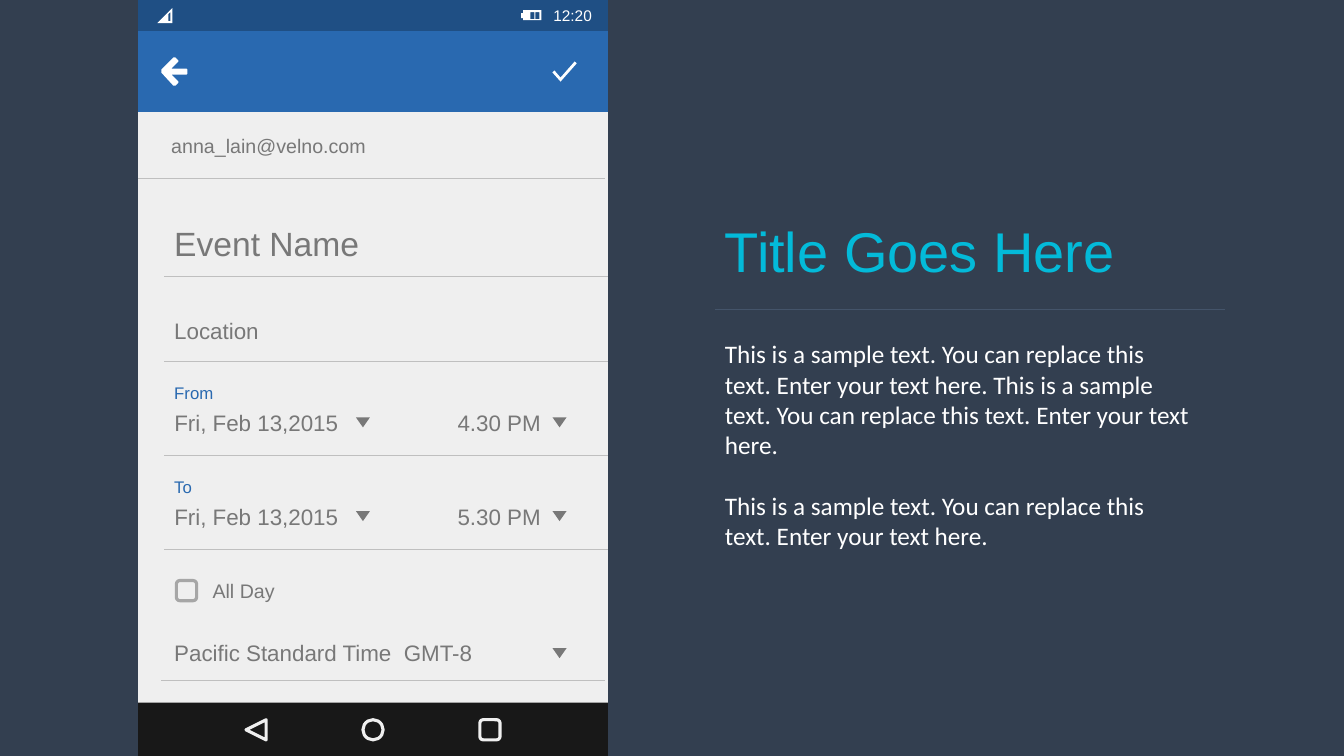
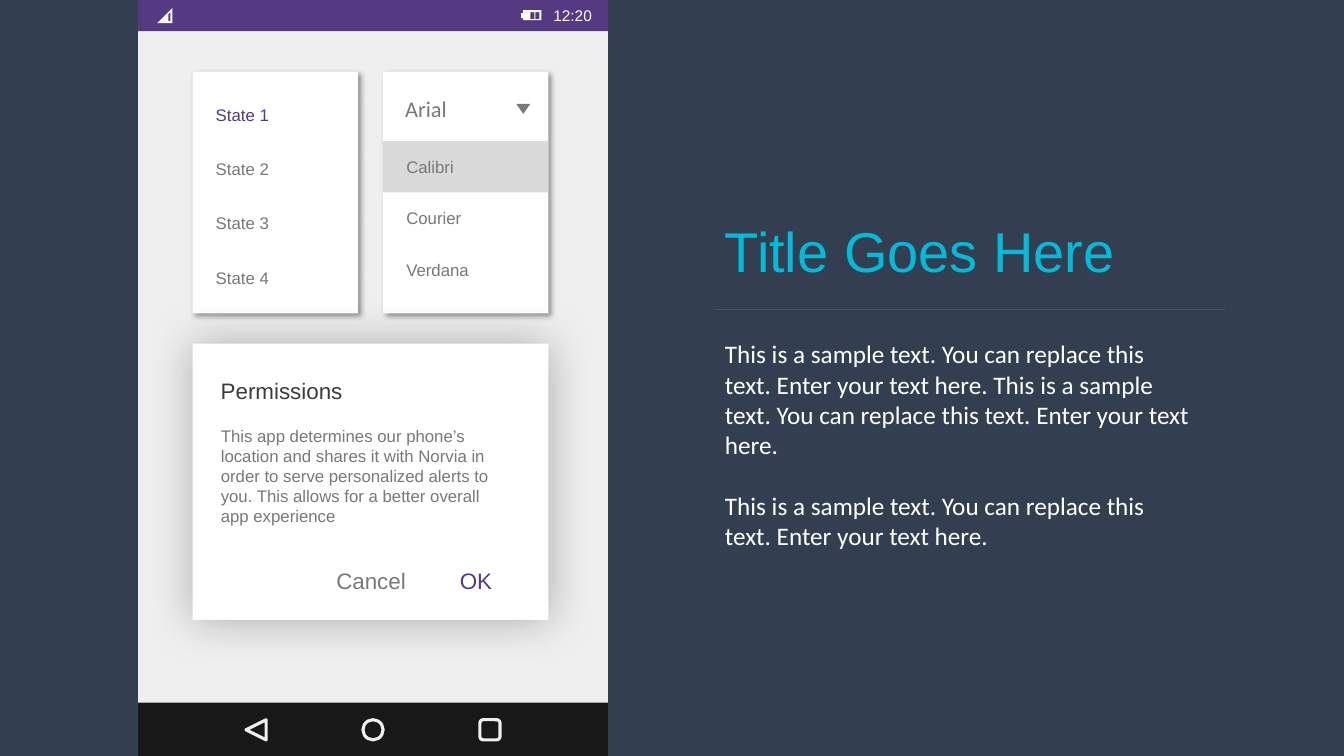
"""Build two slides that pair a phone screen with a title and sample text."""
import pptx
import pptx.util
import pptx.dml.color
import pptx.enum.shapes
import pptx.enum.text
import pptx.oxml
import pptx.oxml.ns

PX = 9144
COLOURS = {
    "backdrop": "333F50", "screen": "EFEFEF", "navigation": "181818",
    "blue": "2969B0", "dark blue": "1F4F84", "purple": "553982",
    "cyan": "03BAD9", "rule": "44546A", "divider": "BFBFBF",
    "grey": "787878", "checkbox": "A6A6A6", "selected": "D9D9D9",
    "heading": "3C3C3C", "white": "FFFFFF",
}
RGB = {name: pptx.dml.color.RGBColor.from_string(code) for name, code in COLOURS.items()}
SHAPE = pptx.enum.shapes.MSO_SHAPE
ALIGN = pptx.enum.text.PP_ALIGN
ANCHOR = pptx.enum.text.MSO_ANCHOR
FIT = pptx.enum.text.MSO_AUTO_SIZE
SCREEN_LEFT, SCREEN_WIDTH = 137, 466
SAMPLE = "This is a sample text. You can replace this text. Enter your text here."

BACK_ARROW = [[(160, 69), (172, 57), (174, 57), (177, 60), (177, 61), (170, 68),
               (185, 68), (186, 69), (186, 73), (185, 74), (170, 74), (177, 81),
               (177, 82), (174, 85), (172, 85), (160, 72)]]
CHECK_MARK = [[(570, 61), (572, 63), (556, 81), (548, 72), (550, 70), (556, 77)]]
SIGNAL = [[(169, 12), (167, 14), (167, 21), (169, 21)],
          [(171, 8), (171, 23), (156, 23)]]
BATTERY = [[(531, 19), (535, 19), (535, 12), (531, 12)],
           [(526, 19), (530, 19), (530, 12), (526, 12)],
           [(517, 18), (517, 13), (519, 13), (519, 10),
            (537, 10), (537, 20), (519, 20), (519, 18)]]


def add_block(slide, kind, box, fill=None, outline=None):
    block = slide.shapes.add_shape(kind, *[value * PX for value in box])
    block.shadow.inherit = False
    if fill:
        block.fill.solid()
        block.fill.fore_color.rgb = RGB[fill]
    else:
        block.fill.background()
    if outline:
        block.line.color.rgb = RGB[outline]
        block.line.width = pptx.util.Pt(2.25)
    else:
        block.line.fill.background()
    return block


def write(holder, text, size, colour, font="Arial", align=ALIGN.LEFT, anchor=ANCHOR.TOP, indent=10):
    frame = holder.text_frame
    frame_format = {"word_wrap": True, "auto_size": FIT.NONE, "vertical_anchor": anchor,
                    "margin_left": indent * PX, "margin_right": 10 * PX,
                    "margin_top": 5 * PX, "margin_bottom": 5 * PX}
    for name, value in frame_format.items():
        setattr(frame, name, value)
    frame.text = text
    for paragraph in frame.paragraphs:
        paragraph.alignment = align
        for run in paragraph.runs:
            for name, value in {"name": font, "size": pptx.util.Pt(size), "bold": False}.items():
                setattr(run.font, name, value)
            run.font.color.rgb = RGB[colour]


deck = pptx.Presentation()
deck.slide_width, deck.slide_height = 1333 * PX, 750 * PX
backdrop = deck.slide_master.background.fill
backdrop.solid()
backdrop.fore_color.rgb = RGB["backdrop"]

icons, rules, labels = [], [], []
for status_colour in ["dark blue", "purple"]:
    slide = deck.slides.add_slide(deck.slide_layouts[1])
    for top, height, fill in [(29, 721, "screen"), (0, 31, status_colour), (697, 53, "navigation")]:
        add_block(slide, SHAPE.RECTANGLE, (SCREEN_LEFT, top, SCREEN_WIDTH, height), fill)
    for index, kind in enumerate([SHAPE.ISOSCELES_TRIANGLE, SHAPE.OVAL, SHAPE.ROUNDED_RECTANGLE]):
        button = add_block(slide, kind, (244 + 116 * index, 714, 20, 20), outline="screen")
        if kind == SHAPE.ISOSCELES_TRIANGLE:
            button.rotation = 270
    icons += [(slide, SIGNAL, "white"), (slide, BATTERY, "white")]
    labels.append((slide, (532, 1, 65, 29), "12:20", 11, "white", {"align": ALIGN.RIGHT}))
    rules.append((slide, 709, 307, 1215, "rule"))

    title, body = slide.placeholders
    for holder, box in [(title, (709, 210, 506, 77)), (body, (709, 331, 481, 252))]:
        holder.left, holder.top, holder.width, holder.height = [value * PX for value in box]
    write(title, "Title Goes Here", 40, "cyan")
    write(body, f"{SAMPLE} {SAMPLE}\n{SAMPLE}", 18, "white", "Calibri")
    for paragraph, gap in zip(body.text_frame.paragraphs, [0, 22]):
        properties = paragraph._p.get_or_add_pPr()
        properties.set("marL", "0")
        properties.set("indent", "0")
        properties.append(pptx.oxml.parse_xml(f'<a:buNone {pptx.oxml.ns.nsdecls("a")}/>'))
        paragraph.space_before = pptx.util.Pt(gap)

event, dialogs = deck.slides

add_block(event, SHAPE.RECTANGLE, (SCREEN_LEFT, 31, SCREEN_WIDTH, 80), "blue")
add_block(event, SHAPE.ROUNDED_RECTANGLE, (175, 576, 20, 20), outline="checkbox")
icons += [(event, BACK_ARROW, "white"), (event, CHECK_MARK, "white")]
for left, top, right in [(137, 177, 600), (163, 274, 603), (163, 359, 603),
                         (163, 452, 603), (163, 545, 603), (160, 675, 600)]:
    rules.append((event, left, top, right, "divider"))
for left, top, text, size in [(160, 128, "anna_lain@velno.com", 14), (163, 216, "Event Name", 24),
                              (163, 310, "Location", 16), (201, 569, "All Day", 14),
                              (163, 629, "Pacific Standard Time  GMT-8", 16)]:
    labels.append((event, (left, top, 350, 50), text, size, "grey", {}))
dropdowns = [(event, 548, 643), (dialogs, 512, 103)]
for index, (name, time) in enumerate([("From", "4.30 PM"), ("To", "5.30 PM")]):
    top = 375 + 93 * index
    labels += [(event, (163, top, 100, 30), name, 12, "blue", {}),
               (event, (163, top + 26, 205, 37), "Fri, Feb 13,2015", 16, "grey", {}),
               (event, (444, top + 26, 120, 37), time, 16, "grey", {})]
    dropdowns += [(event, left, top + 39) for left in (353, 548)]
for slide, left, top in dropdowns:
    icons.append((slide, [[(left, top), (left + 14, top), (left + 7, top + 10)]], "grey"))

for box, alpha, blur, distance in [((191, 71, 164, 240), 40, 4, 3), ((380, 71, 164, 240), 40, 4, 3),
                                   ((191, 341, 353, 274), 28, 33, 0)]:
    card = add_block(dialogs, SHAPE.RECTANGLE, box, "white")
    effects = card.element.spPr.find(pptx.oxml.ns.qn("a:effectLst"))
    effects.append(pptx.oxml.parse_xml(
        f'<a:outerShdw {pptx.oxml.ns.nsdecls("a")} blurRad="{blur * 12700}" '
        f'dist="{distance * 12700}" dir="2700000" algn="ctr" rotWithShape="0">'
        f'<a:srgbClr val="000000"><a:alpha val="{alpha * 1000}"/></a:srgbClr></a:outerShdw>'))
option = {"anchor": ANCHOR.MIDDLE, "indent": 23}
action = {"anchor": ANCHOR.MIDDLE, "align": ALIGN.CENTER}
labels += [
    (dialogs, (392, 89, 123, 37), "Arial", 16, "grey", {"font": "Calibri"}),
    (dialogs, (196, 362, 164, 51), "Permissions", 16, "heading", option),
    (dialogs, (196, 404, 321, 136),
     "This app determines our phone’s location and shares it with Norvia in order to serve "
     "personalized alerts to you. This allows for a better overall app experience",
     12, "grey", option),
    (dialogs, (317, 559, 102, 33), "Cancel", 16, "grey", action),
    (dialogs, (421, 559, 102, 33), "OK", 16, "purple", action),
]
for index in range(4):
    labels.append((dialogs, (191, 88 + 54 * index, 164, 51), f"State {index + 1}", 12,
                   "grey" if index else "purple", option))
selected_font = add_block(dialogs, SHAPE.RECTANGLE, (380, 140, 164, 51), "selected")
write(selected_font, "Calibri", 12, "grey", **option)
for index, font_name in enumerate(["Courier", "Verdana"], start=1):
    labels.append((dialogs, (380, 140 + 51 * index, 164, 51), font_name, 12, "grey", option))

for slide, box, text, size, colour, layout in labels:
    write(slide.shapes.add_textbox(*[value * PX for value in box]), text, size, colour, **layout)

for slide, left, top, right, colour in rules:
    rule = slide.shapes.add_connector(pptx.enum.shapes.MSO_CONNECTOR.STRAIGHT,
                                      left * PX, top * PX, right * PX, top * PX)
    rule.line.color.rgb = RGB[colour]
    rule.line.width = pptx.util.Pt(0.5)
    rule.element.spPr.append(pptx.oxml.parse_xml(f'<a:effectLst {pptx.oxml.ns.nsdecls("a")}/>'))

for slide, contours, colour in icons:
    outline = slide.shapes.build_freeform(*contours[0][0], scale=PX)
    for contour in contours:
        if contour is not contours[0]:
            outline.move_to(*contour[0])
        outline.add_line_segments(contour[1:], close=True)
    icon = outline.convert_to_shape()
    icon.shadow.inherit = False
    icon.fill.solid()
    icon.fill.fore_color.rgb = RGB[colour]
    icon.line.fill.background()

deck.save("out.pptx")
